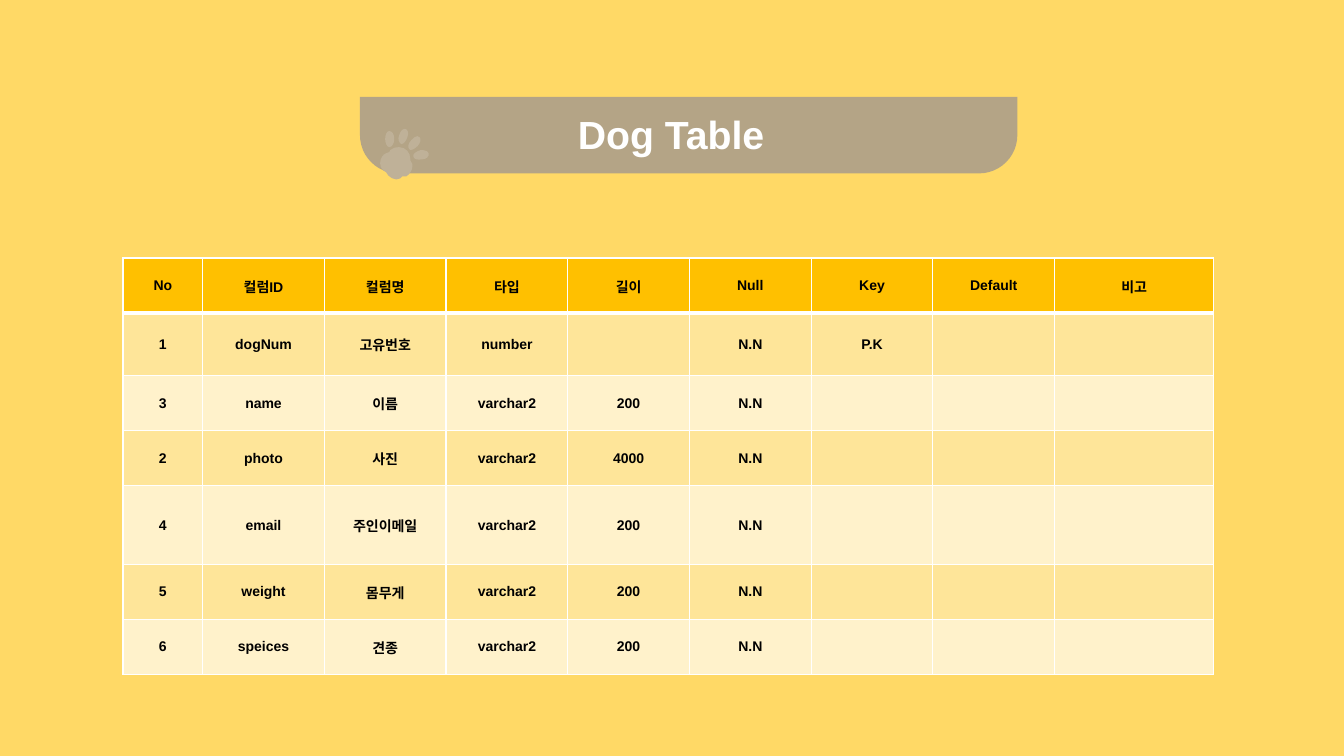
from dataclasses import dataclass

from lxml.etree import SubElement
from pptx import Presentation
from pptx.dml.color import RGBColor
from pptx.enum.shapes import MSO_SHAPE
from pptx.enum.text import MSO_ANCHOR, PP_ALIGN
from pptx.oxml.ns import qn
from pptx.util import Inches, Pt


@dataclass(frozen=True)
class Theme:
    background: str = "FFD966"
    banner: str = "B4A486"
    paw: str = "BFB198"
    header: str = "FFC000"
    bands: tuple = ("FEE599", "FFF2CB")
    border: str = "FFFFFF"
    title_text: str = "FFFFFF"
    table_text: str = "000000"
    font: str = "Arial"
    title_size: int = 28
    table_size: int = 10
    thin: int = 1
    thick: int = 3


THEME = Theme()

COLUMN_WIDTHS = [0.79] + [8.45 / 7] * 7 + [1.58]
PLAIN_ROW = 2.73 / 5
ROW_HEIGHTS = [PLAIN_ROW, 0.62, PLAIN_ROW, PLAIN_ROW, 0.78, PLAIN_ROW, PLAIN_ROW]
ROWS = [
    ["No", "컬럼ID", "컬럼명", "타입", "길이", "Null", "Key", "Default", "비고"],
    ["1", "dogNum", "고유번호", "number", "", "N.N", "P.K", "", ""],
    ["3", "name", "이름", "varchar2", "200", "N.N", "", "", ""],
    ["2", "photo", "사진", "varchar2", "4000", "N.N", "", "", ""],
    ["4", "email", "주인이메일", "varchar2", "200", "N.N", "", "", ""],
    ["5", "weight", "몸무게", "varchar2", "200", "N.N", "", "", ""],
    ["6", "speices", "견종", "varchar2", "200", "N.N", "", "", ""],
]

RIGHT_TOE = [
    [(4.2, 1.49)],
    [(4.23, 1.49), (4.25, 1.51), (4.25, 1.52)],
    [(4.26, 1.55), (4.23, 1.58), (4.19, 1.58)],
    [(4.14, 1.59), (4.1, 1.58), (4.1, 1.55)],
    [(4.09, 1.53), (4.13, 1.5), (4.17, 1.49)],
    [(4.18, 1.49), (4.19, 1.49), (4.2, 1.49)],
]
PAD = [
    [(3.96, 1.46)],
    [(4.02, 1.46), (4.07, 1.51), (4.07, 1.58)],
    [(4.07, 1.59)],
    [(4.08, 1.61)],
    [(4.09, 1.62), (4.09, 1.63), (4.09, 1.65)],
    [(4.09, 1.69), (4.06, 1.73), (4.03, 1.75)],
    [(3.99, 1.75)],
    [(3.97, 1.77)],
    [(3.96, 1.77), (3.94, 1.78), (3.93, 1.78)],
    [(3.9, 1.78), (3.87, 1.76), (3.85, 1.74)],
    [(3.83, 1.71)],
    [(3.8, 1.69)],
    [(3.78, 1.67), (3.77, 1.65), (3.77, 1.62)],
    [(3.77, 1.57), (3.8, 1.53), (3.83, 1.52)],
    [(3.86, 1.51)],
    [(3.87, 1.49)],
    [(3.89, 1.47), (3.92, 1.46), (3.96, 1.46)],
]
UPPER_TOE = [
    [(4.14, 1.35)],
    [(4.15, 1.36), (4.16, 1.36), (4.16, 1.36)],
    [(4.18, 1.38), (4.17, 1.42), (4.14, 1.45)],
    [(4.11, 1.48), (4.07, 1.5), (4.06, 1.48)],
    [(4.04, 1.46), (4.05, 1.42), (4.08, 1.39)],
    [(4.1, 1.37), (4.12, 1.35), (4.14, 1.35)],
]
LEFT_TOE = [
    [(3.86, 1.3)],
    [(3.89, 1.3), (3.91, 1.33), (3.91, 1.38)],
    [(3.91, 1.42), (3.89, 1.46), (3.86, 1.46)],
    [(3.84, 1.46), (3.82, 1.42), (3.82, 1.38)],
    [(3.82, 1.33), (3.84, 1.3), (3.86, 1.3)],
]
MIDDLE_TOE = [
    [(4.02, 1.28)],
    [(4.04, 1.28), (4.06, 1.32), (4.04, 1.36)],
    [(4.03, 1.4), (4.0, 1.43), (3.98, 1.43)],
    [(3.96, 1.42), (3.94, 1.38), (3.96, 1.34)],
    [(3.97, 1.3), (4.0, 1.27), (4.02, 1.28)],
]
PAW = [RIGHT_TOE, PAD, UPPER_TOE, LEFT_TOE, MIDDLE_TOE]
UNITS_PER_INCH = 1000


def set_values(target, values):
    for name, value in values.items():
        setattr(target, name, value)


def color(value):
    return RGBColor.from_string(value)


def paint(shape, fill):
    shape.shadow.inherit = False
    shape.fill.solid()
    shape.fill.fore_color.rgb = color(fill)
    shape.line.fill.background()


def write(paragraph, text, size, text_color):
    paragraph.text = text
    paragraph.alignment = PP_ALIGN.CENTER
    set_values(paragraph.font, {"name": THEME.font, "size": Pt(size), "bold": True})
    paragraph.font.color.rgb = color(text_color)


def add_borders(cell, widths):
    properties = cell._tc.get_or_add_tcPr()
    for side, width in widths.items():
        line = SubElement(properties, qn(f"a:ln{side}"), w=str(Pt(width)))
        fill = SubElement(line, qn("a:solidFill"))
        SubElement(fill, qn("a:srgbClr"), val=THEME.border)


def fill_cell(cell, text, row):
    thin, thick = THEME.thin, THEME.thick
    add_borders(cell, {
        "L": thin,
        "R": thin,
        "T": thick if row == 1 else thin,
        "B": thick if row == 0 else thin,
    })
    cell.fill.solid()
    cell.fill.fore_color.rgb = color(THEME.bands[(row - 1) % 2] if row else THEME.header)
    set_values(cell, {
        "vertical_anchor": MSO_ANCHOR.MIDDLE,
        "margin_left": Inches(0.01),
        "margin_right": Inches(0.01),
        "margin_top": Inches(0.01),
        "margin_bottom": 0,
    })
    if text:
        write(cell.text_frame.paragraphs[0], text, THEME.table_size, THEME.table_text)


def add_column_table(slide):
    frame = slide.shapes.add_table(
        len(ROWS), len(COLUMN_WIDTHS), Inches(1.22), Inches(2.56),
        Inches(sum(COLUMN_WIDTHS)), Inches(sum(ROW_HEIGHTS)))
    table = frame.table
    set_values(table, {"first_row": False, "horz_banding": False})
    for column, width in zip(table.columns, COLUMN_WIDTHS):
        column.width = Inches(width)
    for row, height in zip(table.rows, ROW_HEIGHTS):
        row.height = Inches(height)
    for row, texts in enumerate(ROWS):
        for column, text in enumerate(texts):
            fill_cell(table.cell(row, column), text, row)


def add_banner(slide):
    banner = slide.shapes.add_shape(
        MSO_SHAPE.ROUND_2_SAME_RECTANGLE,
        Inches(3.57), Inches(0.96), Inches(6.52), Inches(0.76))
    banner.adjustments[0] = 0.5
    banner.rotation = 180
    paint(banner, THEME.banner)


def add_title(slide, text):
    box = slide.shapes.add_textbox(Inches(5.61), Inches(1.05), Inches(2.09), Inches(0.56))
    box.text_frame.word_wrap = False
    write(box.text_frame.paragraphs[0], text, THEME.title_size, THEME.title_text)


def to_units(point):
    return tuple(round(value * UNITS_PER_INCH) for value in point)


def bend_lines(shape, outlines):
    lines = shape._element.iter(qn("a:lnTo"))
    remaining = iter(list(lines))
    for outline in outlines:
        for segment in outline[1:]:
            first, *others = [next(remaining) for _ in segment]
            if others:
                curve = first.makeelement(qn("a:cubicBezTo"))
                first.addprevious(curve)
                for line in (first, *others):
                    curve.append(line[0])
                    line.getparent().remove(line)


def add_paw(slide):
    start = to_units(PAW[0][0][0])
    builder = slide.shapes.build_freeform(*start, scale=Inches(1) / UNITS_PER_INCH)
    for index, outline in enumerate(PAW):
        if index:
            builder.move_to(*to_units(outline[0][0]))
        points = [to_units(point) for segment in outline[1:] for point in segment]
        builder.add_line_segments(points, close=True)
    paw = builder.convert_to_shape()
    bend_lines(paw, PAW)
    paint(paw, THEME.paw)


def main():
    presentation = Presentation()
    set_values(presentation, {"slide_width": Inches(13.33), "slide_height": Inches(7.5)})
    slide = presentation.slides.add_slide(presentation.slide_layouts[6])
    slide.background.fill.solid()
    slide.background.fill.fore_color.rgb = color(THEME.background)
    add_column_table(slide)
    add_banner(slide)
    add_title(slide, "Dog Table")
    add_paw(slide)
    presentation.save("out.pptx")


if __name__ == "__main__":
    main()
